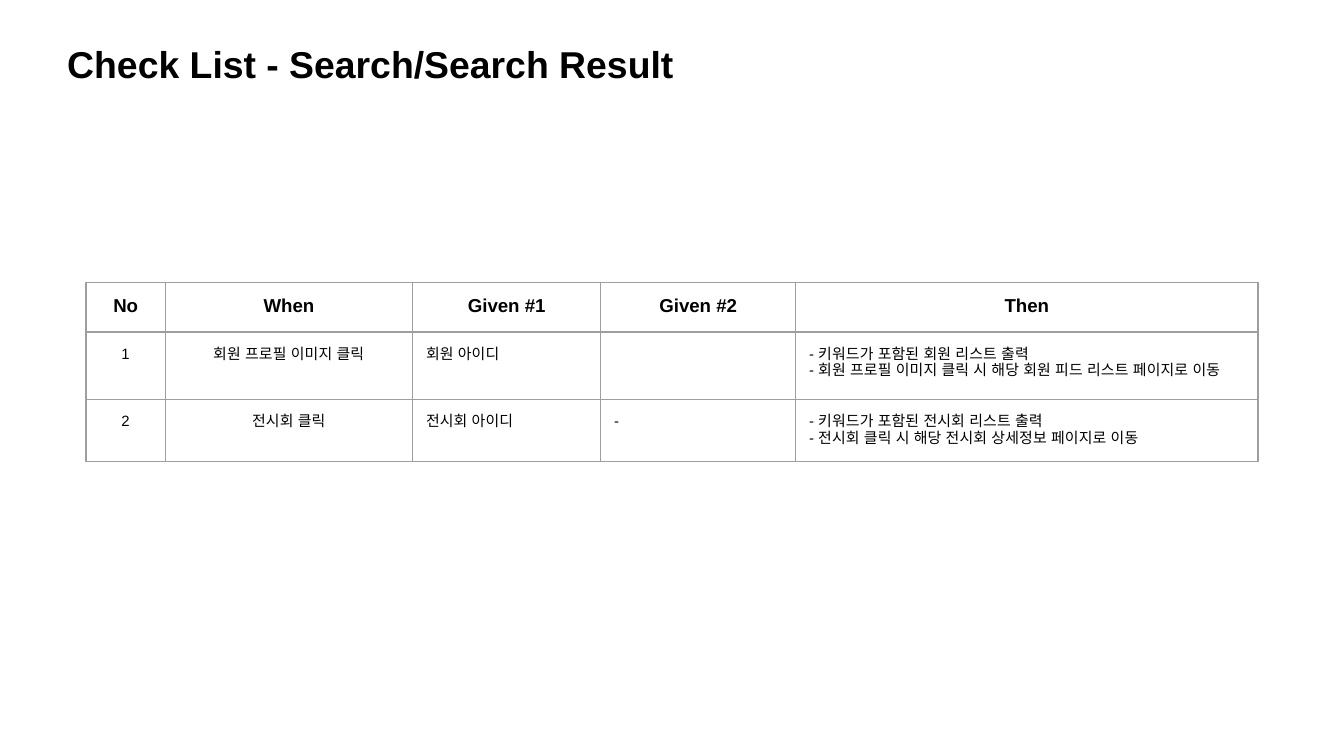
from lxml.etree import SubElement
from pptx import Presentation
from pptx.dml.color import RGBColor
from pptx.enum.text import MSO_ANCHOR, PP_ALIGN
from pptx.oxml.ns import qn
from pptx.util import Inches, Pt

COLORS = {"text": "000000", "border": "9E9E9E"}
FONT = "Arial"
PADDING = Inches(0.1)


def add_text(paragraph, text, size, bold, align):
    paragraph.alignment = align
    run = paragraph.add_run()
    run.text = text
    run.font.name = FONT
    run.font.size = Pt(size)
    run.font.bold = bold
    run.font.color.rgb = RGBColor.from_string(COLORS["text"])
    for script in ("ea", "cs"):
        SubElement(run._r.get_or_add_rPr(), qn(f"a:{script}"), typeface=FONT)


def add_borders(cell):
    properties = cell._tc.get_or_add_tcPr()
    for side in ("lnL", "lnR", "lnT", "lnB"):
        line = SubElement(properties, qn(f"a:{side}"), w=str(Pt(0.75)))
        fill = SubElement(line, qn("a:solidFill"))
        SubElement(fill, qn("a:srgbClr"), val=COLORS["border"])


prs = Presentation()
prs.slide_width = Inches(10)
prs.slide_height = prs.slide_width * 9 // 16
slide = prs.slides.add_slide(prs.slide_layouts[5])

# Title
title = slide.shapes.title
title.left, title.top = Inches(0.4), Inches(0.21)
title.width, title.height = Inches(5.94), Inches(0.54)
heading = title.text_frame
heading.margin_left = heading.margin_right = PADDING
heading.margin_top = heading.margin_bottom = PADDING
heading.vertical_anchor = MSO_ANCHOR.TOP
add_text(heading.paragraphs[0], "Check List - Search/Search Result", 20, True, PP_ALIGN.LEFT)

# Checklist: each cell is a list of its lines
checklist = [
    [["No"], ["When"], ["Given #1"], ["Given #2"], ["Then"]],
    [["1"], ["회원 프로필 이미지 클릭"], ["회원 아이디"], [],
     ["- 키워드가 포함된 회원 리스트 출력",
      "- 회원 프로필 이미지 클릭 시 해당 회원 피드 리스트 페이지로 이동"]],
    [["2"], ["전시회 클릭"], ["전시회 아이디"], ["-"],
     ["- 키워드가 포함된 전시회 리스트 출력",
      "- 전시회 클릭 시 해당 전시회 상세정보 페이지로 이동"]],
]
column_widths = [0.59, 1.84, 1.4, 1.45, 3.44]
row_heights = [0.37, 0.5, 0.46]

table = slide.shapes.add_table(
    len(row_heights), len(column_widths), Inches(0.64), Inches(2.1),
    Inches(sum(column_widths)), Inches(sum(row_heights))).table
table.first_row = False
table.horz_banding = False
for column, width in zip(table.columns, column_widths):
    column.width = Inches(width)
for row, height in zip(table.rows, row_heights):
    row.height = Inches(height)

for r, entries in enumerate(checklist):
    is_header = r == 0
    for c, lines in enumerate(entries):
        cell = table.cell(r, c)
        cell.margin_left = cell.margin_right = PADDING
        cell.margin_top = cell.margin_bottom = PADDING
        add_borders(cell)
        cell.fill.background()
        align = PP_ALIGN.CENTER if is_header or c < 2 else PP_ALIGN.LEFT
        frame = cell.text_frame
        for i, line in enumerate(lines):
            paragraph = frame.add_paragraph() if i else frame.paragraphs[0]
            add_text(paragraph, line, 10 if is_header else 8, is_header, align)

prs.save("out.pptx")
